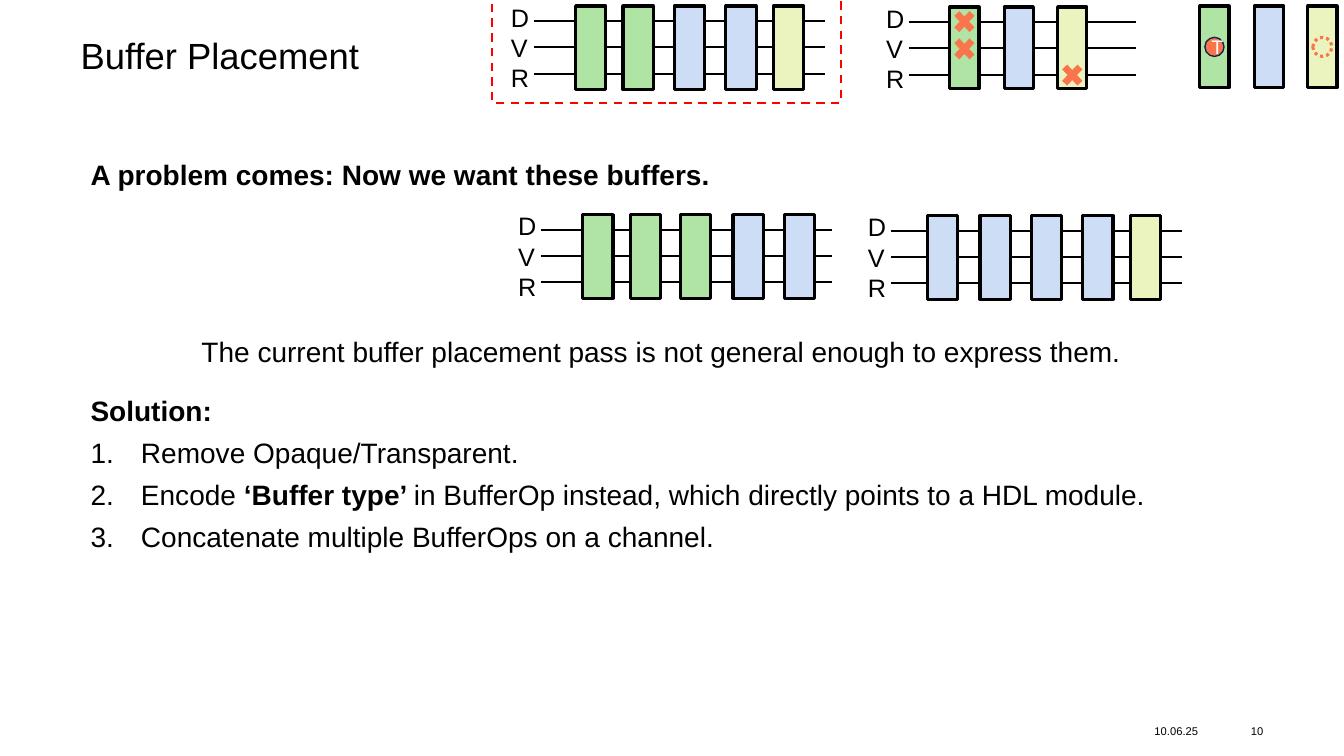
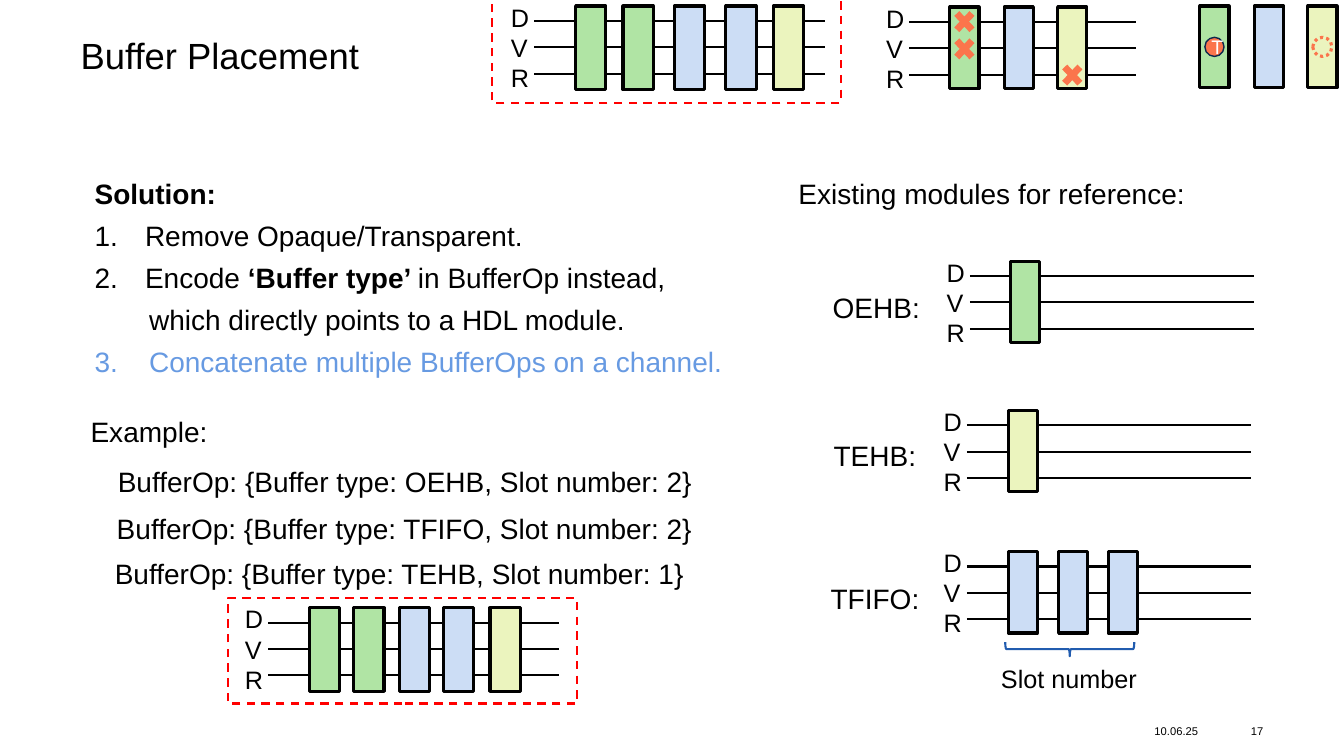
from dataclasses import dataclass

from lxml.etree import SubElement
from pptx import Presentation
from pptx.dml.color import RGBColor
from pptx.enum.dml import MSO_LINE_DASH_STYLE as Dash
from pptx.enum.shapes import MSO_CONNECTOR, MSO_SHAPE as Kind
from pptx.enum.text import MSO_ANCHOR as Anchor, PP_ALIGN as Align
from pptx.oxml.ns import qn
from pptx.shapes.autoshape import Shape
from pptx.slide import Slide
from pptx.util import Inches, Pt

FONT = "Arial"
BLACK, WHITE = "000000", "FFFFFF"
RED, CORAL, NAVY = "FF0000", "FB754C", "0E284D"
BLUE, LIGHT = "215CAF", "679AE2"
FILLS = {"O": "B0E4A4", "F": "CCDDF5", "T": "EBF4BE"}
BAR_W, BAR_H = 0.3, 0.83
DATE = "10.06.25"
Box = tuple[float, float, float, float]


@dataclass
class Run:
    text: str
    bold: bool = False


@dataclass
class Para:
    runs: list[Run]
    num: int = 0
    left: float = 0
    color: str = BLACK


@dataclass
class Chain:
    """Buffers on a channel: one letter in kinds for each left edge in bars."""
    x: float
    y: float
    kinds: str
    bars: list[float]
    span: float = 2.88
    wide: float = BAR_W
    tall: float = BAR_H


@dataclass
class Note:
    text: str
    x: float
    y: float
    width: float
    bold: bool = False


HEAD = Chain(4.97, -0.03, "OOFFT", [5.71, 6.18, 6.69, 7.2, 7.67])
SIGNS = Chain(8.69, -0.02, "OFT", [9.42, 9.96, 10.49], 2.25, 0.29, 0.81)
WANTED = [
    Chain(5.04, 2.04, "OOOFF", [5.78, 6.25, 6.75, 7.27, 7.78]),
    Chain(8.51, 2.05, "FFFFT", [9.2, 9.72, 10.23, 10.74, 11.21]),
]
MODULES = [
    Chain(9.29, 2.5, "O", [10.02], 2.82, 0.29, 0.81),
    Chain(9.26, 3.98, "T", [10], 2.82, 0.29, 0.81),
    Chain(9.26, 5.38, "FFF", [10, 10.5, 10.99], 2.82, 0.29, 0.81),
]
SAMPLE = Chain(2.33, 5.94, "OOFFT", [3.07, 3.51, 3.96, 4.4, 4.86])

TITLE = Para([Run("Solution:", True)])
REMOVE = Para([Run("Remove Opaque/Transparent.")], 1, 0.5)
JOIN = "Concatenate multiple BufferOps on a channel."
POINTS = "which directly points to a HDL module."


def encode(tail: str) -> Para:
    return Para([Run("Encode "), Run("‘Buffer type’ ", True), Run(tail)], 2, 0.5)


def rgb(code: str) -> RGBColor:
    return RGBColor.from_string(code)


def say(slide: Slide, at: Box, *paras: Para | str, size: float = 20, bold: bool = False,
        lead: float | None = 30, inset: bool = True, align: Align = Align.LEFT,
        anchor: Anchor = Anchor.TOP, wrap: bool = True) -> None:
    """Adds a text box; a lead of more than 3 is in points, else in lines."""
    frame = slide.shapes.add_textbox(*map(Inches, at)).text_frame
    frame.word_wrap = wrap
    frame.vertical_anchor = anchor
    if not inset:
        frame.margin_left = frame.margin_right = 0
        frame.margin_top = frame.margin_bottom = 0
    for i, item in enumerate(paras):
        para = item if isinstance(item, Para) else Para([Run(item, bold)])
        line = frame.paragraphs[0] if i == 0 else frame.add_paragraph()
        line.alignment = align
        if lead:
            line.line_spacing = Pt(lead) if lead > 3 else lead
        if para.left:
            props = line._p.get_or_add_pPr()
            props.set("marL", str(Inches(para.left)))
            props.set("indent", str(-Inches(para.left) if para.num else 0))
            if para.num:
                mark = SubElement(props, qn("a:buAutoNum"), type="arabicPeriod")
                if para.num > 2:
                    mark.set("startAt", str(para.num))
        for part in para.runs:
            run = line.add_run()
            run.text = part.text
            style(run.font, size, para.color, part.bold)


def style(font, size: float, color: str, bold: bool = False) -> None:
    font.name, font.size, font.bold = FONT, Pt(size), bold
    font.color.rgb = rgb(color)


def draw(slide: Slide, kind: Kind, at: Box, fill: str = "", line: str = "",
         width: float = 2.25, dash: Dash | None = None) -> Shape:
    shape = slide.shapes.add_shape(kind, *map(Inches, at))
    shape.shadow.inherit = False
    if fill:
        shape.fill.solid()
        shape.fill.fore_color.rgb = rgb(fill)
    else:
        shape.fill.background()
    if line:
        shape.line.color.rgb = rgb(line)
        shape.line.width = Pt(width)
        if dash:
            shape.line.dash_style = dash
    else:
        shape.line.fill.background()
    return shape


def wire(slide: Slide, x: float, y: float, span: float) -> None:
    ends = map(Inches, (x, y, x + span, y))
    link = slide.shapes.add_connector(MSO_CONNECTOR.STRAIGHT, *ends)
    link.line.color.rgb = rgb(BLACK)
    link.line.width = Pt(1.5)
    SubElement(link._element.spPr, qn("a:effectLst"))


def bar(slide: Slide, kind: str, at: Box) -> None:
    draw(slide, Kind.RECTANGLE, at, FILLS[kind], BLACK)


def chain(slide: Slide, item: Chain) -> None:
    for i in range(3):
        wire(slide, item.x + 0.33, item.y + 0.24 + 0.26 * i, item.span)
    say(slide, (item.x, item.y, 0.5, 1.01), *"DVR", size=18, lead=None)
    for kind, x in zip(item.kinds, item.bars, strict=True):
        bar(slide, kind, (x, item.y + 0.09, item.wide, item.tall))


def frame_red(slide: Slide, x: float, y: float) -> None:
    draw(slide, Kind.RECTANGLE, (x, y, 3.46, 1.05), line=RED, width=1.5, dash=Dash.DASH)


def legend(slide: Slide) -> None:
    """Draws the strip of buffer signs at the top right."""
    chain(slide, SIGNS)
    for x, y in ((9.42, 0.06), (9.42, 0.33), (10.49, 0.59)):
        draw(slide, Kind.MATH_MULTIPLY, (x, y, 0.29, 0.31), CORAL)
    for kind, x in zip("OFT", (11.9, 12.44, 12.97)):
        bar(slide, kind, (x, 0.06, 0.29, 0.81))
    token = draw(slide, Kind.OVAL, (11.95, 0.37, 0.19, 0.19), CORAL, NAVY, 1)
    token.text_frame.vertical_anchor = Anchor.MIDDLE
    line = token.text_frame.paragraphs[0]
    line.alignment = Align.CENTER
    run = line.add_run()
    run.text = "T"
    style(run.font, 14, WHITE)
    draw(slide, Kind.OVAL, (13.02, 0.37, 0.19, 0.19), line=CORAL, dash=Dash.ROUND_DOT)


def write(slide: Slide, notes: list[Note]) -> None:
    for note in notes:
        say(slide, (note.x, note.y, note.width, 0.48), note.text, bold=note.bold)


def start(deck: Presentation, page: int) -> Slide:
    """Adds a slide with the shared title, footer and top strip."""
    slide = deck.slides.add_slide(deck.slide_layouts[6])
    say(slide, (0.8, 0.38, 4, 0.38), "Buffer Placement", size=26, lead=0.9, inset=False)
    foot = dict(size=8, lead=None, inset=False, anchor=Anchor.MIDDLE)
    say(slide, (11.45, 7.13, 0.67, 0.24), DATE, **foot)
    say(slide, (12.18, 7.13, 0.35, 0.24), str(page), align=Align.RIGHT, **foot)
    chain(slide, HEAD)
    legend(slide)
    frame_red(slide, 4.88, -0.03)
    return slide


def problem(deck: Presentation) -> None:
    slide = start(deck, 10)
    write(slide, [
        Note("A problem comes: Now we want these buffers.", 0.8, 1.43, 6.8, True),
        Note("The current buffer placement pass is not general enough to express them.",
             1.9, 3.19, 9.8),
    ])
    for item in WANTED:
        chain(slide, item)
    say(slide, (0.8, 3.77, 11.4, 1.74), TITLE, REMOVE,
        encode(f"in BufferOp instead, {POINTS}"), Para([Run(JOIN)], 3, 0.5))


def solution(deck: Presentation) -> None:
    slide = start(deck, 17)
    say(slide, (0.84, 1.62, 6.8, 2.16), TITLE, REMOVE, encode("in BufferOp instead,"),
        Para([Run(POINTS)], left=0.54), Para([Run(JOIN)], 3, 0.54, LIGHT))
    ops = [("OEHB", 2, 1.07, 4.48), ("TFIFO", 2, 1.06, 4.94), ("TEHB", 1, 1.04, 5.39)]
    write(slide, [
        Note("Example:", 0.8, 3.98, 1.6),
        *(Note(f"BufferOp: {{Buffer type: {kind}, Slot number: {slots}}}", x, y, 6.4)
          for kind, slots, x, y in ops),
        Note("Existing modules for reference:", 7.82, 1.62, 4.4),
        Note("OEHB:", 8.16, 2.75, 1.2),
        Note("TEHB:", 8.17, 4.22, 1.2),
        Note("TFIFO:", 8.14, 5.64, 1.2),
    ])
    for item in (*MODULES, SAMPLE):
        chain(slide, item)
    brace = draw(slide, Kind.LEFT_BRACE, (10.54, 5.8, 0.14, 1.28), line=BLUE, width=1.5)
    brace.rotation = 270
    say(slide, (9.83, 6.53, 1.8, 0.4), "Slot number", size=18, lead=None)
    frame_red(slide, 2.26, 5.93)


def main() -> None:
    deck = Presentation()
    deck.slide_width, deck.slide_height = Inches(13.33), Inches(7.5)
    problem(deck)
    solution(deck)
    deck.save("out.pptx")


if __name__ == "__main__":
    main()
